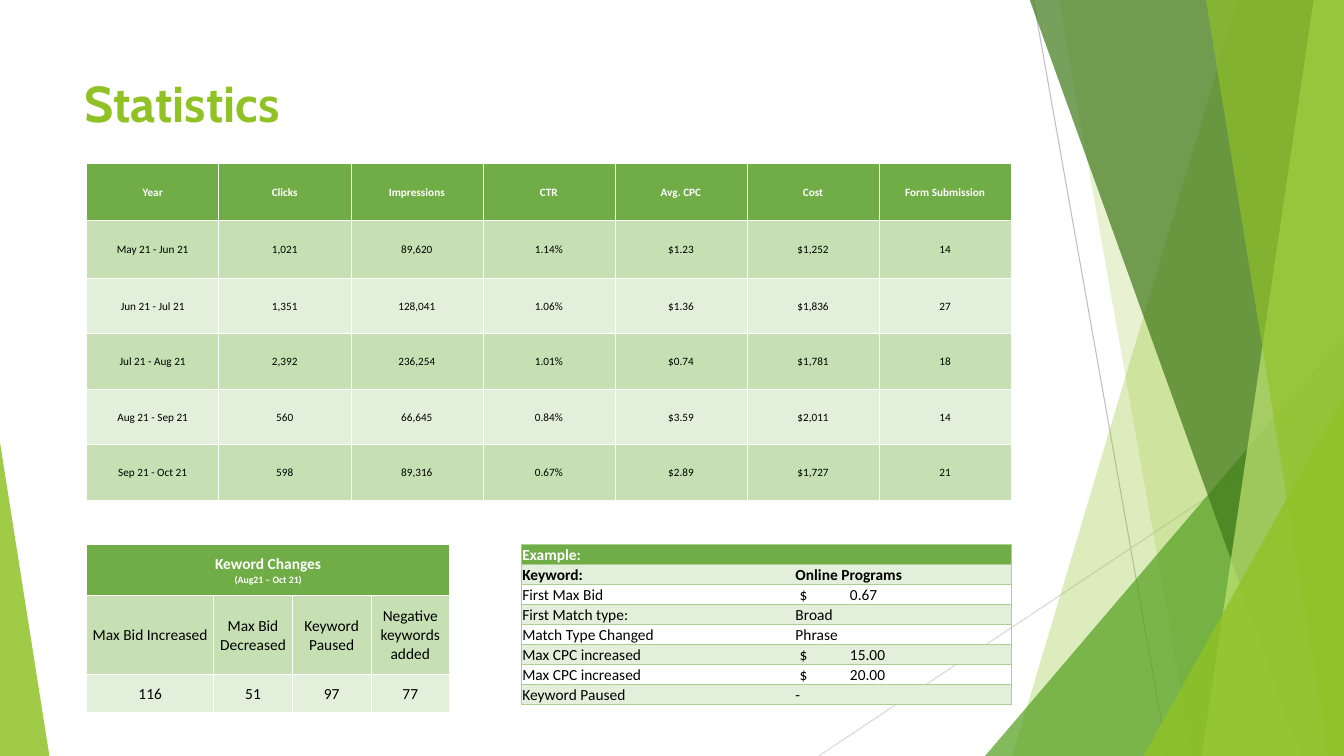
from lxml import etree
from pptx import Presentation
from pptx.dml.color import RGBColor
from pptx.enum.shapes import MSO_CONNECTOR, MSO_SHAPE
from pptx.enum.text import MSO_ANCHOR, PP_ALIGN
from pptx.oxml.ns import qn
from pptx.util import Inches, Pt

STRAIGHT = MSO_CONNECTOR.STRAIGHT
TRIANGLE = MSO_SHAPE.ISOSCELES_TRIANGLE
TOP, MIDDLE = MSO_ANCHOR.TOP, MSO_ANCHOR.MIDDLE
LEFT, CENTER = PP_ALIGN.LEFT, PP_ALIGN.CENTER

WIDTH, HEIGHT = 13.33, 7.5
COLORS = {
    "lime": "90C226", "leaf": "54A021", "forest": "3F7819", "pale": "C0E474",
    "header": "70AD47", "band": "C6E0B4", "light": "E2EFDA", "rule": "A9D08E",
    "white": "FFFFFF", "black": "000000", "gray": "BFBFBF", "silver": "D9D9D9",
}

STATISTICS = [
    ["Year", "Clicks", "Impressions", "CTR", "Avg. CPC", "Cost", "Form Submission"],
    ["May 21 - Jun 21", "1,021", "89,620", "1.14%", "$1.23", "$1,252", "14"],
    ["Jun 21 - Jul 21", "1,351", "128,041", "1.06%", "$1.36", "$1,836", "27"],
    ["Jul 21 - Aug 21", "2,392", "236,254", "1.01%", "$0.74", "$1,781", "18"],
    ["Aug 21 - Sep 21", "560", "66,645", "0.84%", "$3.59", "$2,011", "14"],
    ["Sep 21 - Oct 21", "598", "89,316", "0.67%", "$2.89", "$1,727", "21"],
]
CHANGES = [
    ["Keword Changes\n(Aug21 – Oct 21)", "", "", ""],
    ["Max Bid Increased", "Max Bid Decreased", "Keyword Paused", "Negative keywords added"],
    ["116", "51", "97", "77"],
]
# A tab sets the amount apart from its currency sign
EXAMPLE = [
    ["Example:", ""],
    ["Keyword:", "Online Programs"],
    ["First Max Bid", "$\t0.67"],
    ["First Match type:", "Broad"],
    ["Match Type Changed", "Phrase"],
    ["Max CPC increased", "$\t15.00"],
    ["Max CPC increased", "$\t20.00"],
    ["Keyword Paused", "-"],
]


def rgb(name):
    return RGBColor.from_string(COLORS[name])


def set_font(span, color, **values):
    for name, value in values.items():
        setattr(span.font, name, value)
    span.font.color.rgb = rgb(color)


# Background facets
def paint(shape, color, opacity):
    shape.shadow.inherit = False
    shape.line.fill.background()
    shape.fill.solid()
    shape.fill.fore_color.rgb = rgb(color)
    tint = shape.fill._xPr.find(".//" + qn("a:srgbClr"))
    etree.SubElement(tint, qn("a:alpha"), val=str(opacity * 1000))


def add_slab(page, top_x, bottom_x, color, opacity):
    """A facet that reaches the right edge of the page."""
    outline = [(WIDTH, -0.01), (WIDTH, HEIGHT), (bottom_x, HEIGHT)]
    builder = page.shapes.build_freeform(Inches(top_x), Inches(-0.01))
    builder.add_line_segments([(Inches(x), Inches(y)) for x, y in outline])
    paint(builder.convert_to_shape(), color, opacity)


def add_triangle(page, left, top, width, apex, color, opacity):
    """A facet that stands on the bottom edge of the page."""
    shape = page.shapes.add_shape(TRIANGLE, Inches(left), Inches(top),
                                  Inches(width), Inches(HEIGHT - top))
    shape.adjustments[0] = apex
    paint(shape, color, opacity)


def add_line(page, start, end, color):
    line = page.shapes.add_connector(STRAIGHT, *map(Inches, start + end))
    line.line.color.rgb = rgb(color)
    line.line.width = Pt(0.75)
    etree.SubElement(line._element.spPr, qn("a:effectLst"))


def add_background(page):
    add_line(page, (10.25, 0), (11.58, HEIGHT), "gray")
    add_line(page, (WIDTH, 4.03), (8.12, HEIGHT), "silver")
    add_slab(page, 12.28, 10.04, "lime", 30)
    add_slab(page, 10.5, 11.83, "lime", 20)
    add_triangle(page, 9.77, 3.33, 3.56, 1, "leaf", 72)
    add_slab(page, 10.21, 12.91, "forest", 70)
    add_slab(page, 13.03, 11.92, "pale", 70)
    add_slab(page, 11.96, 13.18, "lime", 65)
    add_triangle(page, 11.34, 3.93, 1.99, 1, "lime", 80)
    add_triangle(page, 0, 4.39, 0.49, 0, "lime", 85)


def add_title(page, text):
    title = page.shapes.title
    place = {"left": 0.74, "top": 0.67, "width": 9.4, "height": 1.44}
    for name, value in place.items():
        setattr(title, name, Inches(value))
    title.text_frame.vertical_anchor = TOP
    para = title.text_frame.paragraphs[0]
    para.alignment = LEFT
    span = para.add_run()
    span.text = text
    set_font(span, "lime", name="Cabin", size=Pt(36), bold=True)


# Tables
def set_borders(cell, edges):
    """Edges run left, right, top, bottom; None leaves an edge bare."""
    props = cell._tc.get_or_add_tcPr()
    for index, (side, color) in enumerate(zip("LRTB", edges)):
        line = etree.Element(qn("a:ln" + side), w=str(Pt(0.5)))
        if color:
            fill = etree.SubElement(line, qn("a:solidFill"))
            etree.SubElement(fill, qn("a:srgbClr"), val=COLORS[color])
        else:
            etree.SubElement(line, qn("a:noFill"))
        props.insert(index, line)


def set_amount_tab(para):
    props = para._p.get_or_add_pPr()
    props.set("marL", str(Inches(0.04)))
    props.set("indent", "0")
    tabs = etree.SubElement(props, qn("a:tabLst"))
    etree.SubElement(tabs, qn("a:tab"), pos=str(Inches(0.93)), algn="r")


def fill_cell(cell, text, fill, color, sizes, bold, alignment):
    margins = {"margin_left": 0.01, "margin_right": 0.01,
               "margin_top": 0.01, "margin_bottom": 0}
    for name, value in margins.items():
        setattr(cell, name, Inches(value))
    cell.vertical_anchor = MIDDLE
    if fill:
        cell.fill.solid()
        cell.fill.fore_color.rgb = rgb(fill)
    else:
        cell.fill.background()
    frame = cell.text_frame
    for index, line in enumerate(text.split("\n")):
        para = frame.add_paragraph() if index else frame.paragraphs[0]
        para.alignment = alignment
        if not line:
            etree.SubElement(para._p, qn("a:endParaRPr"), sz=str(sizes[0] * 100))
            continue
        if "\t" in line:
            set_amount_tab(para)
        span = para.add_run()
        span.text = line
        set_font(span, color, name="Calibri", size=Pt(sizes[index]), bold=bold)


def add_grid(page, rows, left, top, widths, heights, fills, sizes,
             alignment=CENTER, bold_rows=1, rule="white", inner="white"):
    table = page.shapes.add_table(len(rows), len(widths), Inches(left), Inches(top),
                                  Inches(sum(widths)), Inches(sum(heights))).table
    table.first_row = table.horz_banding = False
    for column, width in zip(table.columns, widths):
        column.width = Inches(width)
    for row, height in zip(table.rows, heights):
        row.height = Inches(height)
    last = len(widths) - 1
    for r, texts in enumerate(rows):
        fill = fills[(r - 1) % 2] if r else "header"
        for c, text in enumerate(texts):
            cell = table.cell(r, c)
            fill_cell(cell, text, fill, "black" if r else "white", sizes,
                      r < bold_rows, alignment)
            set_borders(cell, (inner if c else rule, inner if c < last else rule,
                               rule, rule))
    return table


def main():
    deck = Presentation()
    deck.slide_width, deck.slide_height = Inches(WIDTH), Inches(HEIGHT)
    page = deck.slides.add_slide(deck.slide_layouts[5])

    add_background(page)
    add_title(page, "Statistics")
    add_grid(page, STATISTICS, 0.86, 1.62, [1.31] * 7, [0.57] * 2 + [0.55] * 4,
             ("band", "light"), [8])
    changes = add_grid(page, CHANGES, 0.86, 5.4, [1.26] + [0.78] * 3,
                       [0.51, 0.78, 0.38], ("band", "light"), [11, 7])
    changes.cell(0, 0).merge(changes.cell(0, 3))
    add_grid(page, EXAMPLE, 5.17, 5.4, [2.71, 2.15], [1.57 / 8] * 8,
             ("light", None), [11], LEFT, bold_rows=2, rule="rule", inner=None)
    deck.save("out.pptx")


if __name__ == "__main__":
    main()
